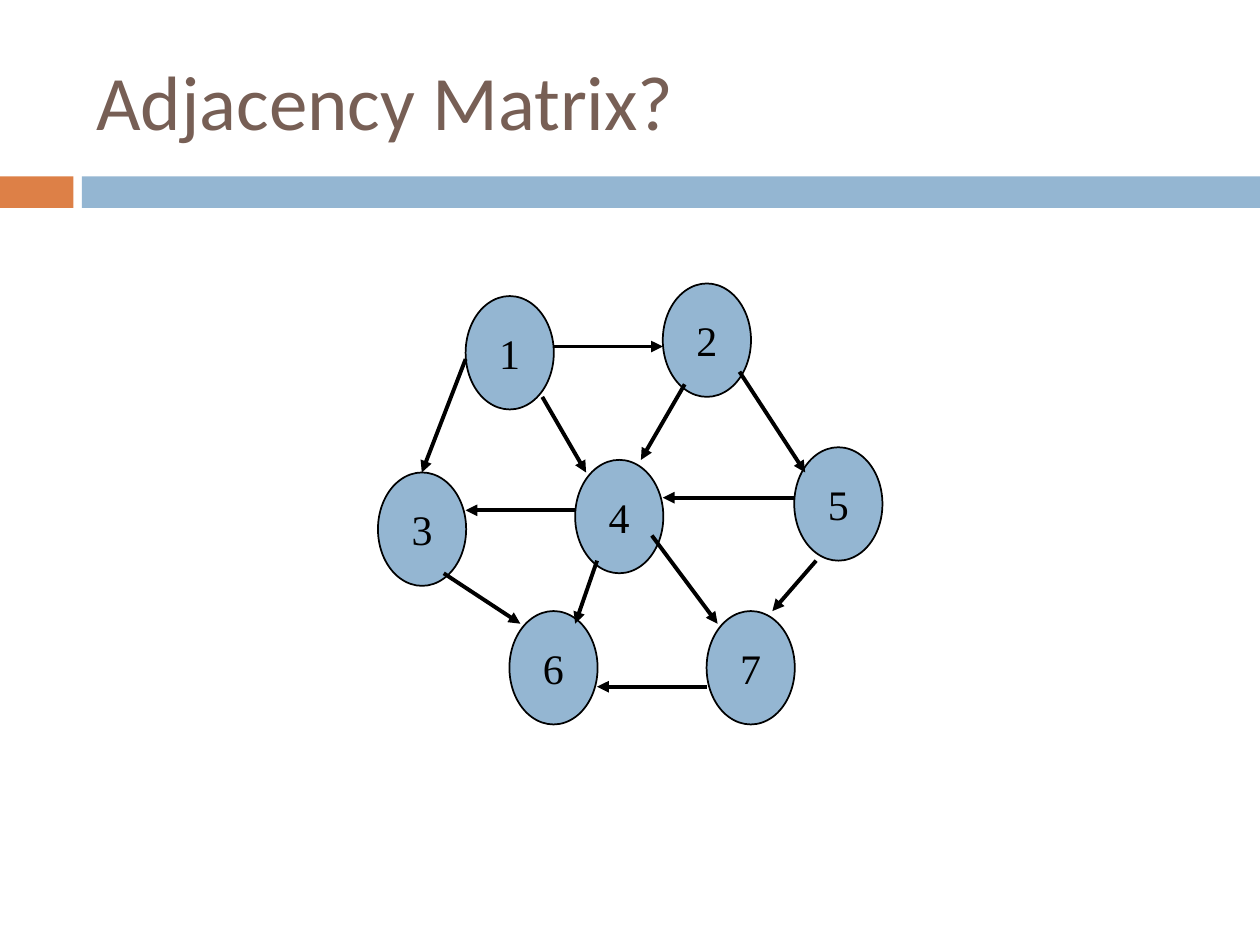
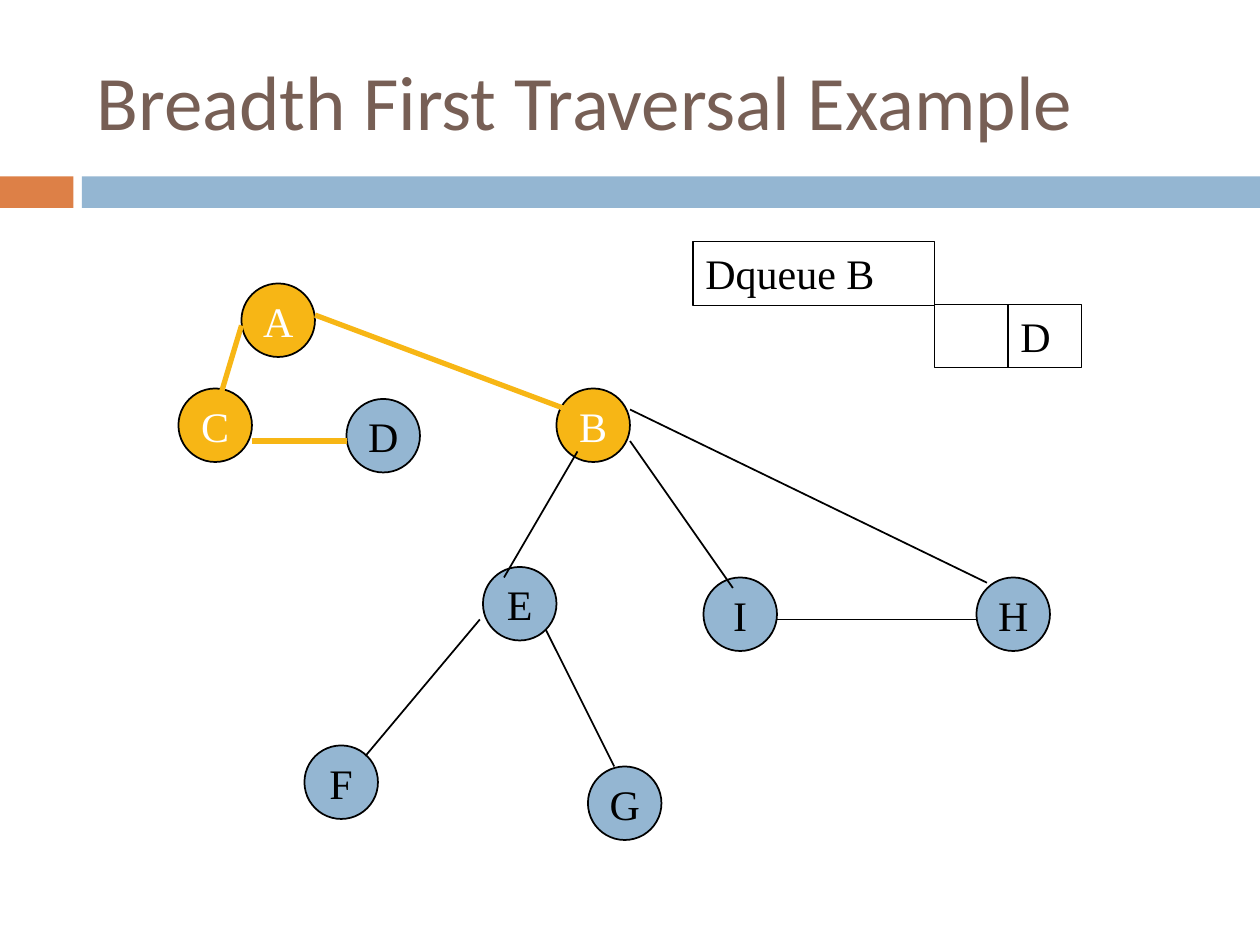
from dataclasses import dataclass

from lxml import etree
from pptx import Presentation
from pptx import util as u
from pptx.dml import color
from pptx.enum import shapes, text
from pptx.oxml import ns

COLORS = {
    "orange": "DD8047",
    "blue": "94B6D2",
    "brown": "775F55",
    "gold": "F7B615",
    "black": "000000",
    "white": "FFFFFF",
}
RECTANGLE = shapes.MSO_SHAPE.RECTANGLE
OVAL = shapes.MSO_SHAPE.OVAL
TITLE_FONT = {"name": "Calibri", "size": u.Pt(44)}
LABEL_FONT = {"name": "Times New Roman", "size": u.Pt(24)}
TITLE_FRAME = {"word_wrap": True, "vertical_anchor": text.MSO_ANCHOR.MIDDLE}
LABEL_FRAME = {"word_wrap": False, "vertical_anchor": text.MSO_ANCHOR.MIDDLE}
QUEUE_FRAME = {"word_wrap": True, "vertical_anchor": text.MSO_ANCHOR.TOP}


@dataclass(frozen=True)
class Grid:
    """Turns grid steps into points."""
    left: float
    top: float
    step_x: float
    step_y: float

    def place(self, column, row):
        return u.Pt(self.left + column * self.step_x), u.Pt(self.top + row * self.step_y)


@dataclass(frozen=True)
class Node:
    label: str
    column: float
    row: float
    fill: str = "blue"
    ink: str = "black"


@dataclass(frozen=True)
class Edge:
    start: tuple[float, float]
    end: tuple[float, float]
    color: str = "black"
    width: float = 1
    arrow: bool = False


@dataclass(frozen=True)
class Cell:
    label: str
    column: float
    row: float
    columns: float
    rows: float
    frame: dict


def rgb(name: str) -> color.RGBColor:
    return color.RGBColor.from_string(COLORS[name])


def write(box, words: str, font: dict, ink: str, frame: dict, align=text.PP_ALIGN.LEFT) -> None:
    for key, value in frame.items():
        setattr(box.text_frame, key, value)
    para = box.text_frame.paragraphs[0]
    para.alignment = align
    span = para.add_run()
    span.text = words
    for key, value in font.items():
        setattr(span.font, key, value)
    span.font.color.rgb = rgb(ink)


def add_box(page, kind, place: tuple, size: tuple, fill: str, line_width: float = 0):
    box = page.shapes.add_shape(kind, *place, *size)
    box.shadow.inherit = False
    box.fill.solid()
    box.fill.fore_color.rgb = rgb(fill)
    if line_width:
        box.line.color.rgb = rgb("black")
        box.line.width = u.Pt(line_width)
    else:
        box.line.fill.background()
    return box


def add_page(deck, title: str):
    page = deck.slides.add_slide(deck.slide_layouts[6])
    # Two-colour band under the title
    for left, width, fill in ((0, 42, "orange"), (46.8, 673.2, "blue")):
        add_box(page, RECTANGLE, (u.Pt(left), u.Pt(100.8)), (u.Pt(width), u.Pt(18)), fill)
    box = page.shapes.add_textbox(u.Pt(48), u.Pt(18), u.Pt(642), u.Pt(78))
    write(box, title, TITLE_FONT, "brown", TITLE_FRAME)
    return page


def add_node(page, grid: Grid, node: Node, size: tuple) -> None:
    box = add_box(page, OVAL, grid.place(node.column, node.row), size, node.fill, 1)
    write(box, node.label, LABEL_FONT, node.ink, LABEL_FRAME, text.PP_ALIGN.CENTER)


def add_edge(page, grid: Grid, edge: Edge) -> None:
    line = page.shapes.add_connector(
        shapes.MSO_CONNECTOR.STRAIGHT, *grid.place(*edge.start), *grid.place(*edge.end))
    line.line.color.rgb = rgb(edge.color)
    line.line.width = u.Pt(edge.width)
    if edge.arrow:
        etree.SubElement(line.line._get_or_add_ln(), ns.qn("a:tailEnd"), type="triangle")
    etree.SubElement(line._element.spPr, ns.qn("a:effectLst"))


def add_graph(page, grid: Grid, nodes: list[Node], edges: list[Edge], size: tuple) -> None:
    for node in nodes:
        add_node(page, grid, node, size)
    for edge in edges:
        add_edge(page, grid, edge)


def add_cell(page, grid: Grid, cell: Cell) -> None:
    size = u.Pt(cell.columns * grid.step_x), u.Pt(cell.rows * grid.step_y)
    box = add_box(page, RECTANGLE, grid.place(cell.column, cell.row), size, "white", 0.75)
    if cell.label:
        write(box, cell.label, LABEL_FONT, "black", cell.frame)


# Directed graph
DIRECTED_GRID = Grid(216, 162, 12.52, 7.2)
DIRECTED_NODES = [
    Node("1", 4, 1), Node("2", 13, 0), Node("3", 0, 15), Node("4", 9, 14),
    Node("5", 19, 13), Node("6", 6, 26), Node("7", 15, 26),
]
DIRECTED_EDGES = [
    Edge(start, end, width=2.25, arrow=True)
    for start, end in (
        ((8, 5), (13, 5)),  # 1 to 2
        ((4, 6), (2, 15)),  # 1 to 3
        ((7.5, 9), (9.5, 15)),  # 1 to 4
        ((14, 8), (12, 14)),  # 2 to 4
        ((16.5, 7), (19.5, 15)),  # 2 to 5
        ((3, 23), (6.5, 27)),  # 3 to 6
        ((9, 18), (4, 18)),  # 4 to 3
        ((10, 22), (9, 27)),  # 4 to 6
        ((12.5, 20), (15.5, 27)),  # 4 to 7
        ((19, 17), (13, 17)),  # 5 to 4
        ((20, 22), (18, 26)),  # 5 to 7
        ((15, 32), (10, 32)),  # 7 to 6
    )
]

# Traversal tree, with visited nodes and edges in gold
TREE_GRID = Grid(0, 0, 6, 6)
TREE_NODES = [
    *(Node(*spot, fill="gold", ink="white")
      for spot in (("A", 23, 27), ("C", 17, 37), ("B", 53, 37))),
    Node("D", 33, 38), Node("E", 46, 54), Node("F", 29, 71),
    Node("G", 56, 73), Node("I", 67, 55), Node("H", 93, 55),
]
TREE_EDGES = [
    *(Edge(*ends, color="gold", width=3) for ends in (
        ((23, 31), (20.9, 38)),  # A to C
        ((24, 42), (33, 42)),  # C to D
        ((30, 30), (54, 39)),  # A to B
    )),
    Edge((55, 43), (48, 55)),  # B to E
    Edge((45.7, 59), (34.8, 72)),  # E to F
    Edge((52, 60), (58.5, 73)),  # E to G
    Edge((60, 42), (69.8, 56)),  # B to I
    Edge((60, 39), (94, 55.5)),  # B to H
    Edge((74, 59), (93, 59)),  # I to H
]
QUEUE_CELLS = [
    Cell("", 89, 29, 7, 6, LABEL_FRAME),
    Cell("Dqueue B", 66, 23, 23, 6.1, QUEUE_FRAME),
    Cell("D", 96, 29, 7, 6, LABEL_FRAME),
]


def main() -> None:
    deck = Presentation()
    deck.slide_width, deck.slide_height = u.Pt(720), u.Pt(540)

    page = add_page(deck, "Adjacency Matrix?")
    add_graph(page, DIRECTED_GRID, DIRECTED_NODES, DIRECTED_EDGES, (u.Pt(50.4), u.Pt(64.8)))

    page = add_page(deck, "Breadth First Traversal Example")
    add_graph(page, TREE_GRID, TREE_NODES, TREE_EDGES, (u.Pt(42), u.Pt(42)))
    for cell in QUEUE_CELLS:
        add_cell(page, TREE_GRID, cell)

    deck.save("out.pptx")


if __name__ == "__main__":
    main()
